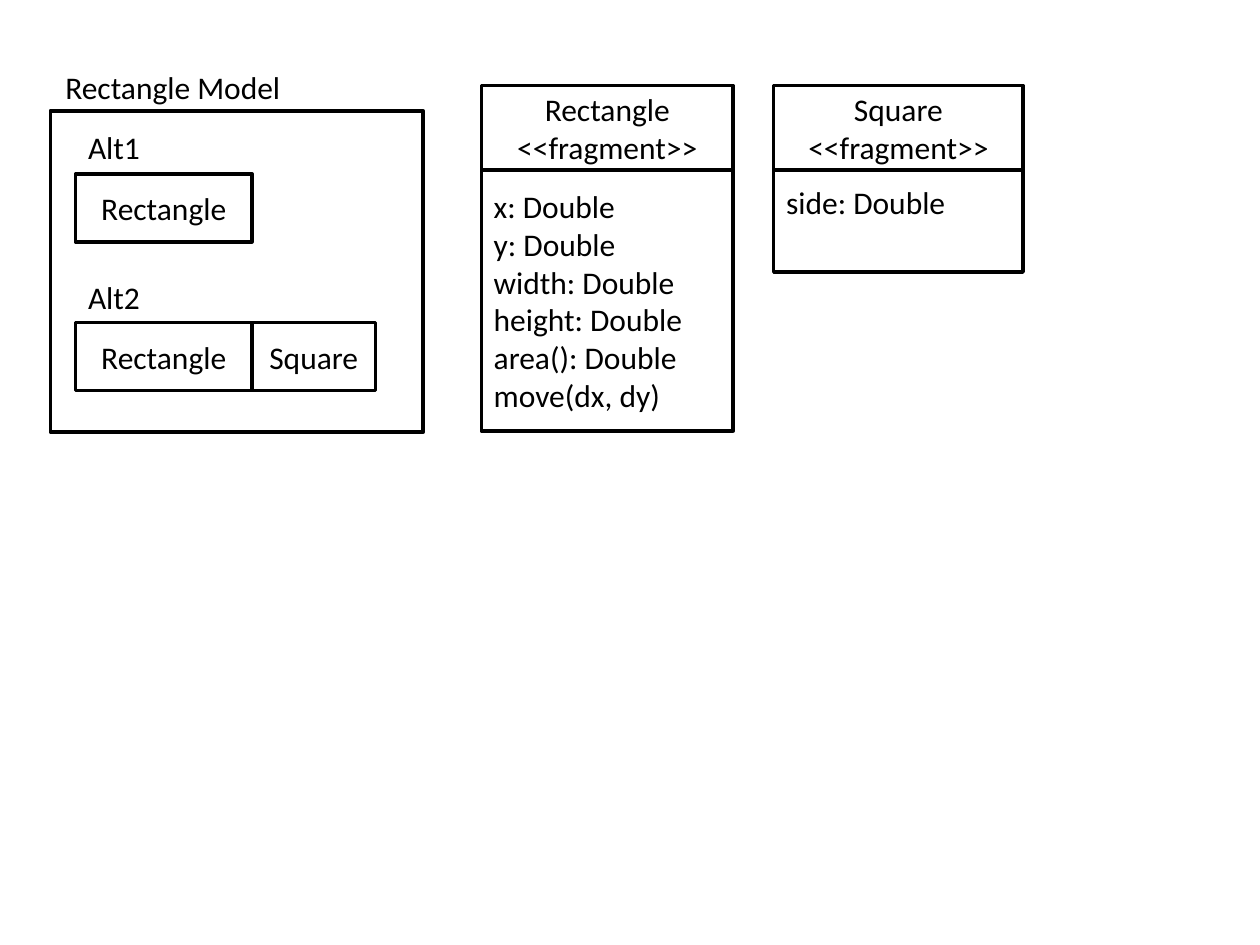
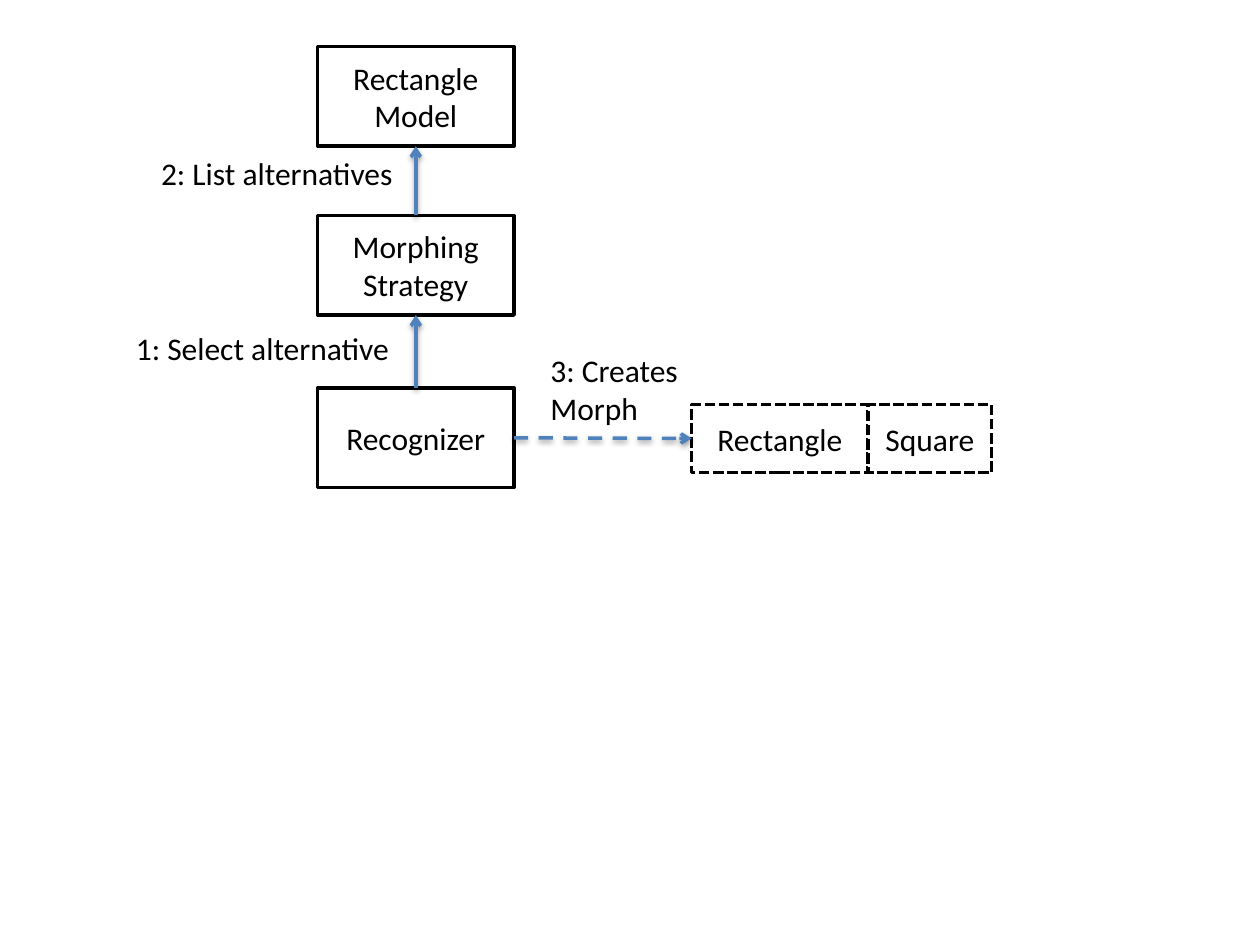
from pptx import Presentation
from pptx.dml.color import RGBColor
from pptx.enum.dml import MSO_LINE
from pptx.enum.shapes import MSO_CONNECTOR, MSO_SHAPE
from pptx.enum.text import MSO_ANCHOR, MSO_AUTO_SIZE, PP_ALIGN
from pptx.oxml.ns import qn
from pptx.util import Inches, Pt

RECT, STRAIGHT = MSO_SHAPE.RECTANGLE, MSO_CONNECTOR.STRAIGHT
LEFT, CENTER = PP_ALIGN.LEFT, PP_ALIGN.CENTER
TOP, MIDDLE = MSO_ANCHOR.TOP, MSO_ANCHOR.MIDDLE
DASH, SHORT_DASH = MSO_LINE.DASH, MSO_LINE.SQUARE_DOT
GROW = MSO_AUTO_SIZE.SHAPE_TO_FIT_TEXT
SITE_TOP, SITE_LEFT, SITE_BOTTOM, SITE_RIGHT = range(4)

FONT, SIZE, LINE_WIDTH = "Calibri", 18, 2
BLACK, WHITE, BLUE = "000000", "FFFFFF", "4F81BD"

# Morph parts: name, width
RECTANGLE, SQUARE = ("Rectangle", 1.4), ("Square", 0.98)
PART_H = 0.54

# Slide 1: alternatives are label, top of label, top of parts, parts
MODEL_FRAME = (0.4, 0.88, 2.96, 2.55)
ALT_X = 0.6
ALTERNATIVES = [
    ("Alt1", 0.97, 1.38, [RECTANGLE]),
    ("Alt2", 2.16, 2.56, [RECTANGLE, SQUARE]),
]
# Fragments: name, left, width, body height, body anchor, members
FRAGMENT_TOP, FRAGMENT_HEAD_H = 0.68, 0.67
FRAGMENTS = [
    ("Rectangle", 3.82, 2, 2.07, MIDDLE,
     ["x: Double", "y: Double", "width: Double", "height: Double",
      "area(): Double", "move(dx, dy)"]),
    ("Square", 6.14, 1.98, 0.81, TOP, ["side: Double"]),
]

# Slide 2: a column of steps, top to bottom
STEP_X, STEP_W, STEP_H = 2.52, 1.56, 0.79
STEPS = [
    (["Rectangle", "Model"], 0.37),
    (["Morphing", "Strategy"], 1.71),
    (["Recognizer"], 3.08),
]
MORPH_X, MORPH_Y = 5.49, 3.21
CALLS = [
    (["1: Select alternative"], 0.98, 2.56, 2.24),
    (["2: List alternatives"], 1.18, 1.17, 2.07),
    (["3: Creates", "Morph"], 4.27, 2.74, 1.23),
]


def rgb(value):
    return RGBColor.from_string(value)


def write(tf, lines, align):
    tf.text = "\n".join(lines)
    for p in tf.paragraphs:
        p.alignment = align
        p.font.name, p.font.size = FONT, Pt(SIZE)
        p.font.color.rgb = rgb(BLACK)


def box(s, x, y, w, h, lines=(), align=CENTER, anchor=MIDDLE, dash=None):
    sp = s.shapes.add_shape(RECT, *map(Inches, (x, y, w, h)))
    sp.shadow.inherit = False
    sp.fill.solid()
    sp.fill.fore_color.rgb = rgb(WHITE)
    sp.line.color.rgb = rgb(BLACK)
    sp.line.width = Pt(LINE_WIDTH)
    if dash:
        sp.line.dash_style = dash
    sp.text_frame.vertical_anchor = anchor
    if anchor == TOP:
        sp.text_frame.margin_top = Inches(0.1)
    if lines:
        write(sp.text_frame, lines, align)
    return sp


def label(s, lines, x, y, w):
    h = 0.1 + 0.3 * len(lines)
    tf = s.shapes.add_textbox(*map(Inches, (x, y, w, h))).text_frame
    tf.word_wrap = False
    tf.auto_size = GROW
    write(tf, lines, LEFT)


def part_row(s, x, y, parts, dash=None):
    """Draw adjoining parts and return their boxes."""
    boxes = []
    for name, w in parts:
        boxes.append(box(s, x, y, w, PART_H, [name], dash=dash))
        x += w
    return boxes


def arrow(s, start, start_site, end, end_site, dash=None):
    """Glue an arrow between two boxes; it keeps the theme's soft shadow."""
    cn = s.shapes.add_connector(STRAIGHT, 0, 0, 0, 0)
    cn.begin_connect(start, start_site)
    cn.end_connect(end, end_site)
    cn.line.color.rgb = rgb(BLUE)
    cn.line.width = Pt(LINE_WIDTH)
    if dash:
        cn.line.dash_style = dash
    ln = cn.element.spPr.find(qn("a:ln"))
    ln.append(ln.makeelement(qn("a:tailEnd"), {"type": "arrow"}))


def model_slide(s):
    box(s, *MODEL_FRAME)
    label(s, ["Rectangle Model"], 0.42, 0.49, 1.93)
    for name, label_y, parts_y, parts in ALTERNATIVES:
        part_row(s, ALT_X, parts_y, parts)
        label(s, [name], ALT_X, label_y, 0.62)
    for name, x, w, body_h, anchor, members in FRAGMENTS:
        box(s, x, FRAGMENT_TOP, w, FRAGMENT_HEAD_H, [name, "<<fragment>>"])
        box(s, x, FRAGMENT_TOP + FRAGMENT_HEAD_H, w, body_h, members, LEFT, anchor)


def morphing_slide(s):
    steps = [box(s, STEP_X, y, STEP_W, STEP_H, lines) for lines, y in STEPS]
    for upper, lower in zip(steps, steps[1:]):
        arrow(s, lower, SITE_TOP, upper, SITE_BOTTOM)
    morph = part_row(s, MORPH_X, MORPH_Y, [RECTANGLE, SQUARE], SHORT_DASH)
    arrow(s, steps[-1], SITE_RIGHT, morph[0], SITE_LEFT, DASH)
    for call in CALLS:
        label(s, *call)


def main():
    prs = Presentation()
    prs.slide_width, prs.slide_height = Inches(10), Inches(7.5)
    blank = prs.slide_layouts[6]
    for draw in (model_slide, morphing_slide):
        draw(prs.slides.add_slide(blank))
    prs.save("out.pptx")


if __name__ == "__main__":
    main()
